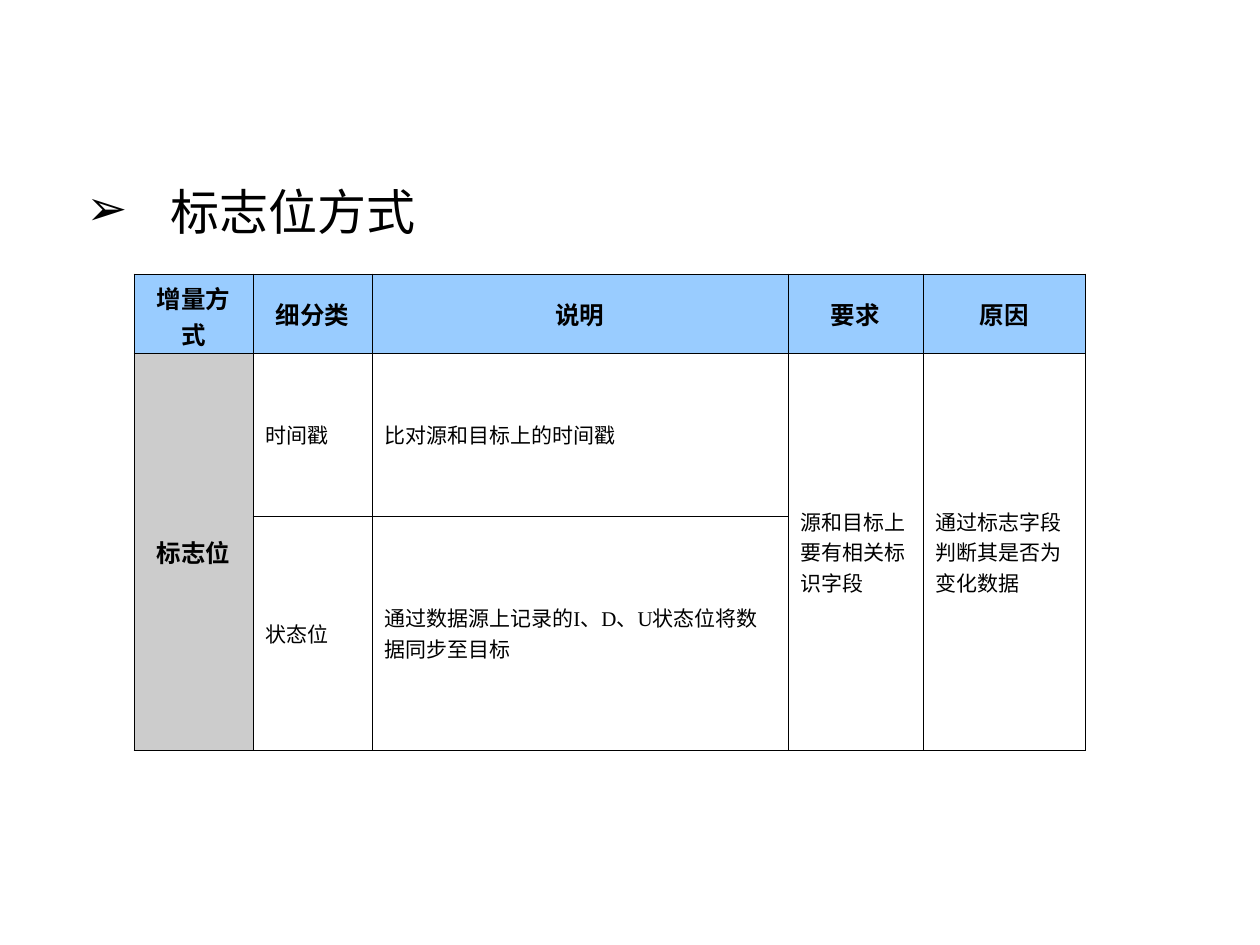
from lxml import etree
from pptx import Presentation
from pptx.dml.color import RGBColor
from pptx.enum.text import MSO_ANCHOR, PP_ALIGN
from pptx.oxml.ns import qn
from pptx.util import Emu, Pt

CENTER, LEFT = PP_ALIGN.CENTER, PP_ALIGN.LEFT
MIDDLE = MSO_ANCHOR.MIDDLE

BLACK = RGBColor(0x00, 0x00, 0x00)
BLUE = RGBColor(0x99, 0xCC, 0xFF)
GRAY = RGBColor(0xCC, 0xCC, 0xCC)

SCALE = 914400 / 126  # EMU per px
COLS = [119, 119, 416, 135, 163]
ROWS = [79, 163, 234]
CELLS = [
    ["增量方式", "细分类", "说明", "要求", "原因"],
    ["标志位", "时间戳", "比对源和目标上的时间戳",
     "源和目标上要有相关标识字段", "通过标志字段判断其是否为变化数据"],
    ["", "状态位", "通过数据源上记录的I、D、U状态位将数据同步至目标", "", ""],
]
TALL = [0, 3, 4]  # columns whose body cells are merged


def px(n):
    return Emu(round(n * SCALE))


def style(run, size, face, bold=False):
    font = run.font
    font.size, font.name, font.bold = Pt(size), face, bold
    font.color.rgb = BLACK


def add_bullet(para, char, indent):
    props = para._p.get_or_add_pPr()
    props.set("marL", str(px(indent)))
    props.set("indent", str(-px(indent)))
    color = etree.SubElement(props, qn("a:buClr"))
    etree.SubElement(color, qn("a:srgbClr"), val=str(BLACK))
    etree.SubElement(props, qn("a:buFont"), typeface="Arial")
    etree.SubElement(props, qn("a:buChar"), char=char)


def add_title(slide, text):
    box = slide.shapes.add_textbox(px(74), px(125), px(883), px(139))
    frame = box.text_frame
    frame.word_wrap = True
    para = frame.paragraphs[0]
    para.text = text
    para.line_spacing = 1.65
    para.space_before = Pt(8)
    style(para.runs[0], 28, "Arial")
    # The larger trailing space sets the line height
    tail = para.add_run()
    tail.text = " "
    style(tail, 32, "Arial")
    add_bullet(para, "➢", 84)


def add_border(cell):
    props = cell._tc.get_or_add_tcPr()
    for i, side in enumerate(("lnL", "lnR", "lnT", "lnB")):
        line = etree.Element(qn(f"a:{side}"), w=str(Pt(0.45)))
        fill = etree.SubElement(line, qn("a:solidFill"))
        etree.SubElement(fill, qn("a:srgbClr"), val=str(BLACK))
        props.insert(i, line)


def fill_cell(cell, text, back):
    cell.vertical_anchor = MIDDLE
    if back is None:
        cell.fill.background()
    else:
        cell.fill.solid()
        cell.fill.fore_color.rgb = back
    add_border(cell)
    if text:
        head = back is not None
        para = cell.text_frame.paragraphs[0]
        para.text = text
        para.alignment = CENTER if head else LEFT
        style(para.runs[0], 14 if head else 12, "Times New Roman", head)


def add_grid(slide):
    frame = slide.shapes.add_table(len(ROWS), len(COLS), px(134), px(274),
                                   px(sum(COLS)), px(sum(ROWS)))
    table = frame.table
    table.first_row = table.horz_banding = False
    for col, width in zip(table.columns, COLS):
        col.width = px(width)
    for row, height in zip(table.rows, ROWS):
        row.height = px(height)
    for r, texts in enumerate(CELLS):
        for c, text in enumerate(texts):
            back = BLUE if r == 0 else GRAY if c == 0 else None
            fill_cell(table.cell(r, c), text, back)
    for c in TALL:
        table.cell(1, c).merge(table.cell(2, c))


def main():
    deck = Presentation()
    deck.slide_width, deck.slide_height = px(1260), px(945)
    slide = deck.slides.add_slide(deck.slide_layouts[6])
    # Heading, then the table below it
    add_title(slide, "标志位方式")
    add_grid(slide)
    deck.save("out.pptx")


if __name__ == "__main__":
    main()
